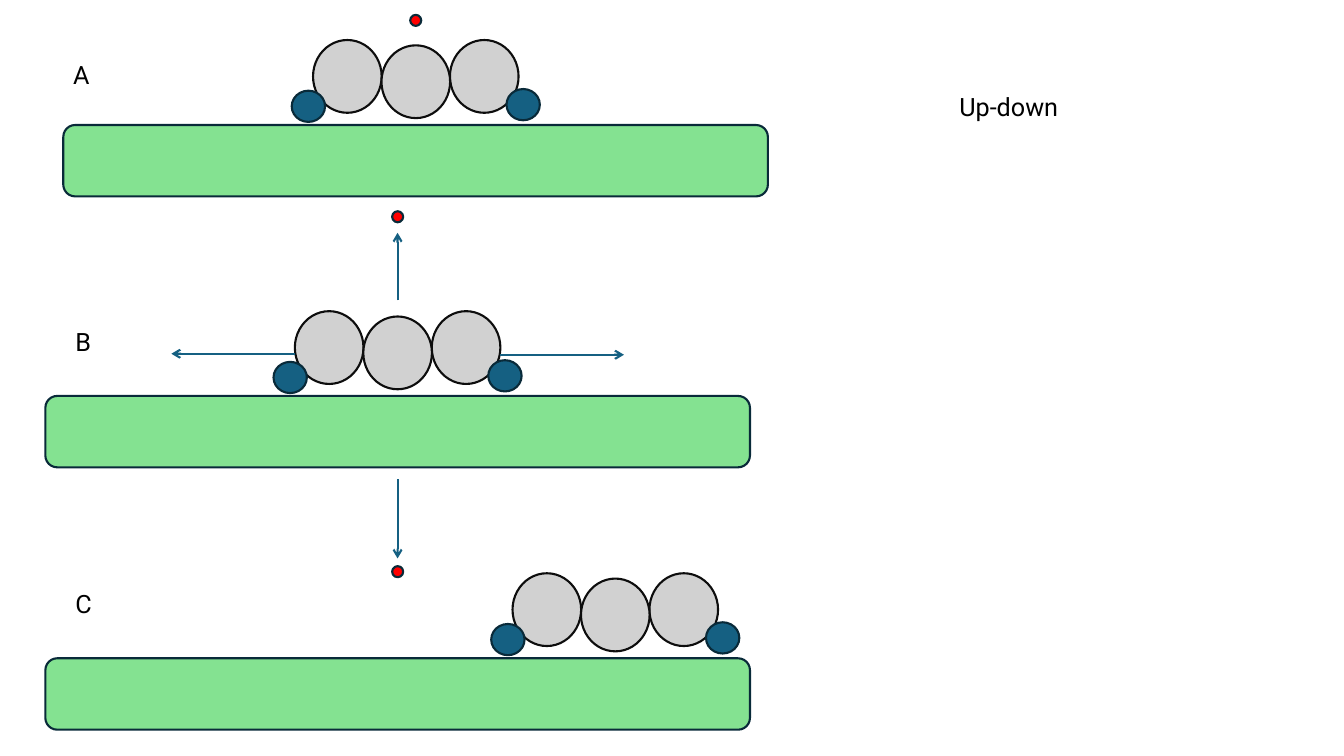
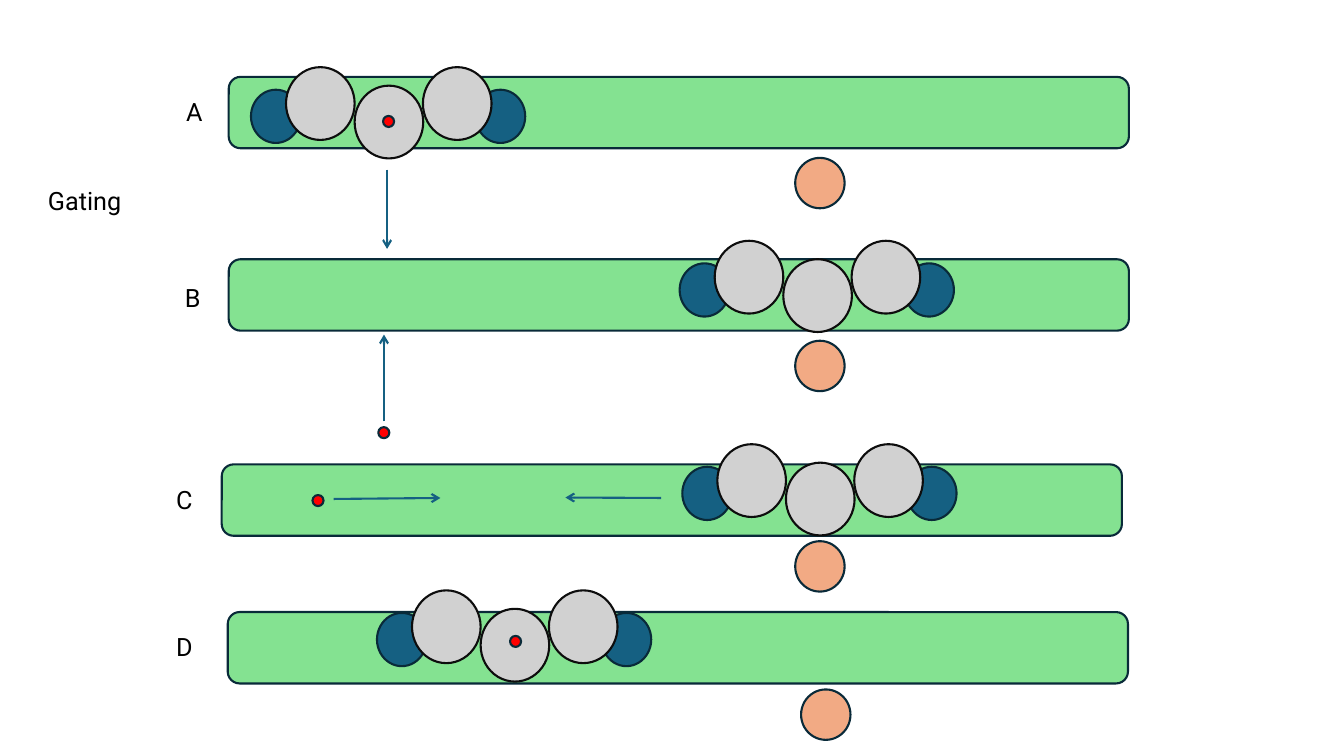
"""Build two slides of carriages moving along tracks: up-down and gating."""
from lxml import etree
from pptx import Presentation
from pptx.dml.color import RGBColor
from pptx.enum import shapes, text
from pptx.oxml.ns import qn
from pptx.util import Pt

COLOURS = {
    "track": "84E291", "body": "D1D1D1", "foot": "156082", "dot": "FF0000",
    "gate": "F2AA84", "outline": "092A39", "body outline": "0D0D0D",
    "arrow": "156082", "text": "000000",
}
FONT = "Roboto"
LINE_WIDTH = Pt(1.5)
SIZES = {"body": (49, 52), "dot": (7.9, 7.9), "gate": (35.3, 36)}

SLIDES = [
    {
        "title": ("Up-down", 678.2, 61.6),
        "label width": 31,
        "sizes": {"track": (503.3, 51), "foot": (23.8, 22.3)},
        "carriage": [("body", 113, -36.2), ("body", 15.2, -36.2), ("foot", 153.4, -1.2),
                     ("foot", 0, 0), ("body", 64.1, -32.4)],
        "panels": [
            {"label": ("A", 45.2, 38.9), "track": (45.2, 89.3),
             "carriage": (208.4, 64.8), "dot": (293, 10.6)},
            {"label": ("B", 46.8, 229.4), "track": (32.4, 282.8),
             "carriage": (195.4, 258.5), "dot": (280.1, 150.9)},
            {"label": ("C", 46.8, 416.9), "track": (32.4, 470.2),
             "carriage": (350.9, 445.7), "dot": (280.1, 404.4)},
        ],
        "arrows": [(284, 214.6, 284, 166.3), (357.1, 253.4, 445.7, 253.4),
                   (211, 252.7, 122.4, 252.7), (284, 342.4, 284, 398.9)],
    },
    {
        "title": ("Gating", 27.2, 128.9),
        "label width": 177,
        "sizes": {"track": (643, 51), "foot": (35.5, 38)},
        "carriage": [("foot", 160.4, 0), ("foot", 0, 0), ("body", 25, -16.1),
                     ("body", 74, -2.9), ("body", 122.8, -16.1)],
        "panels": [
            {"label": ("A", 125.8, 65.5), "track": (163.4, 54.9),
             "carriage": (179.3, 64.1), "dot": (273.6, 82.8), "gate": (568, 112.8)},
            {"label": ("B", 125, 198), "track": (163.4, 185.2),
             "carriage": (485.5, 188.1), "dot": (270.2, 305.1), "gate": (568, 243.4)},
            {"label": ("C", 118.8, 342.7), "track": (158.4, 331.7),
             "carriage": (487.4, 333.4), "dot": (223.2, 353.6), "gate": (568, 386.6)},
            {"label": ("D", 118.8, 447.5), "track": (162.7, 437.2),
             "carriage": (269.3, 437.8), "dot": (364.3, 454.2), "gate": (572.2, 492.5)},
        ],
        "arrows": [(276.5, 121.2, 276.5, 177.8), (274.3, 301, 274.3, 239),
                   (238.3, 356.4, 314.6, 355.7), (472.3, 355.7, 403.9, 355.4)],
    },
]


def add_part(slide, part, left, top, size):
    kind = shapes.MSO_SHAPE.ROUNDED_RECTANGLE if part == "track" else shapes.MSO_SHAPE.OVAL
    shape = slide.shapes.add_shape(kind, Pt(left), Pt(top), Pt(size[0]), Pt(size[1]))
    shape.shadow.inherit = False
    shape.fill.solid()
    shape.fill.fore_color.rgb = RGBColor.from_string(COLOURS[part])
    outline = "body outline" if part == "body" else "outline"
    shape.line.color.rgb = RGBColor.from_string(COLOURS[outline])
    shape.line.width = LINE_WIDTH


def add_label(slide, wording, left, top, width):
    box = slide.shapes.add_textbox(Pt(left), Pt(top), Pt(width), Pt(29))
    frame = box.text_frame
    frame.word_wrap = True
    frame.auto_size = text.MSO_AUTO_SIZE.SHAPE_TO_FIT_TEXT
    run = frame.paragraphs[0].add_run()
    run.text = wording
    run.font.name = FONT
    run.font.size = Pt(18)
    run.font.color.rgb = RGBColor.from_string(COLOURS["text"])


presentation = Presentation()
presentation.slide_width = Pt(960)
presentation.slide_height = Pt(540)

for content in SLIDES:
    slide = presentation.slides.add_slide(presentation.slide_layouts[6])
    sizes = SIZES | content["sizes"]

    for panel in content["panels"]:
        add_part(slide, "track", *panel["track"], sizes["track"])
        left, top = panel["carriage"]
        for part, dx, dy in content["carriage"]:
            add_part(slide, part, left + dx, top + dy, sizes[part])
        for part in ("dot", "gate"):
            if part in panel:
                add_part(slide, part, *panel[part], sizes[part])
        add_label(slide, *panel["label"], content["label width"])

    for ends in content["arrows"]:
        arrow = slide.shapes.add_connector(
            shapes.MSO_CONNECTOR.STRAIGHT, *[Pt(value) for value in ends])
        arrow.line.color.rgb = RGBColor.from_string(COLOURS["arrow"])
        arrow.line.width = LINE_WIDTH
        properties = arrow._element.spPr
        etree.SubElement(properties.find(qn("a:ln")), qn("a:tailEnd"), type="arrow")
        etree.SubElement(properties, qn("a:effectLst"))

    add_label(slide, *content["title"], 177)

presentation.save("out.pptx")
